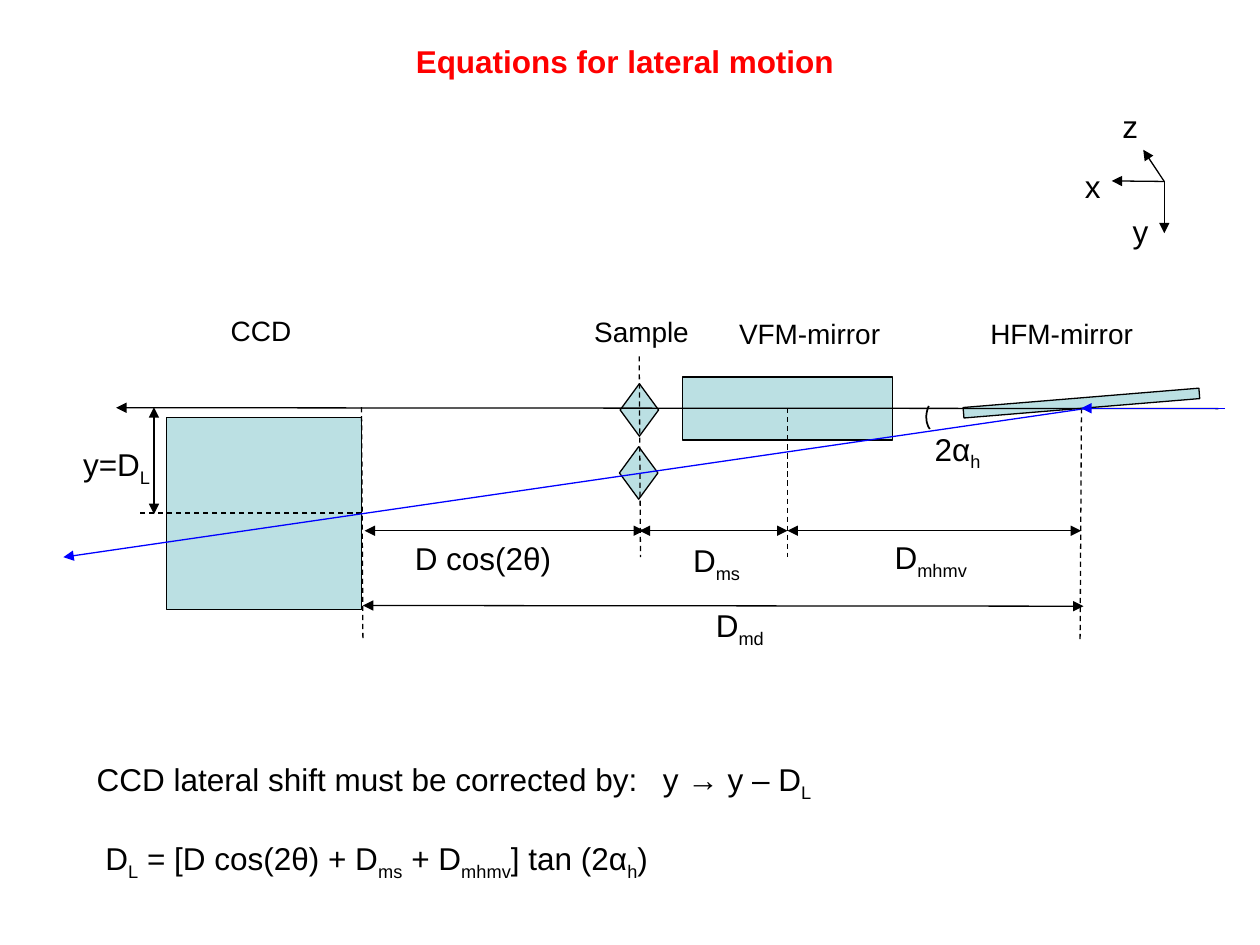
from dataclasses import dataclass

import lxml.etree
import pptx
import pptx.dml.color
import pptx.enum.dml
import pptx.enum.shapes
import pptx.enum.text
import pptx.oxml.ns
import pptx.util

Pt = pptx.util.Pt
qn = pptx.oxml.ns.qn
Preset = pptx.enum.shapes.MSO_SHAPE
Align = pptx.enum.text.PP_ALIGN
Anchor = pptx.enum.text.MSO_ANCHOR


@dataclass(frozen=True)
class Theme:
    font: str = "Arial"
    ink: str = "000000"
    title: str = "FF0000"
    beam: str = "0000FF"
    optic: str = "BBE0E3"
    body_size: float = 18
    label_size: float = 16
    line: float = 0.75
    arc_line: float = 1


@dataclass(frozen=True)
class Box:
    left: float
    top: float
    width: float
    height: float

    def lengths(self) -> list:
        return [Pt(v) for v in (self.left, self.top, self.width, self.height)]


@dataclass(frozen=True)
class Optic:
    preset: int
    box: Box
    rotation: float = 0


@dataclass(frozen=True)
class Ray:
    start: tuple[float, float]
    end: tuple[float, float]
    color: str = Theme.ink
    dashed: bool = False
    head: bool = False
    tail: bool = False


@dataclass(frozen=True)
class Label:
    text: str
    box: Box
    centered: bool = False


THEME = Theme()

# Landmarks along the beam
BEAM_Y = 233.3
CCD_X, SAMPLE_X, VFM_X, HFM_X = 206.6, 365.5, 450, 617.8
SPOT_Y = 293.2
SPAN_Y, TOTAL_Y = 303.3, 346.4
ORIGIN = (665.3, 103.7)

OPTICS = [
    Optic(Preset.RECTANGLE, Box(390.1, 215.4, 120, 36)),
    Optic(Preset.DIAMOND, Box(354.4, 219.3, 22, 30)),
    Optic(Preset.DIAMOND, Box(354, 255.3, 22, 30)),
    Optic(Preset.RECTANGLE, Box(550.3, 227.3, 135.2, 6), 175.3),
    Optic(Preset.RECTANGLE, Box(95.2, 238.6, 111.4, 109.8)),
]


def dashed(start: tuple, end: tuple) -> Ray:
    return Ray(start, end, dashed=True)


def span(start: tuple, end: tuple) -> Ray:
    """A dimension line with an arrowhead at each end."""
    return Ray(start, end, head=True, tail=True)


RAYS = [
    *(Ray(ORIGIN, tip, tail=True)
      for tip in [(665.3, 133.3), (635.3, 103.4), (653.3, 85.6)]),
    dashed((618, BEAM_Y), (617.2, 366.3)),
    dashed((365.3, 203.6), (366, 318.4)),
    dashed((VFM_X, BEAM_Y), (VFM_X, 318.4)),
    dashed((CCD_X, 232.7), (207.4, 366.3)),
    dashed((CCD_X, SPOT_Y), (80.2, SPOT_Y)),
    Ray((621.4, BEAM_Y), (36.2, 318.4), THEME.beam, tail=True),
    Ray((696.2, 233.5), (66.4, 233), tail=True),
    span((88, 232.7), (88, 293.8)),
    span((208.4, SPAN_Y), (368, SPAN_Y)),
    span((SAMPLE_X, SPAN_Y), (VFM_X, SPAN_Y)),
    span((VFM_X, SPAN_Y), (HFM_X, SPAN_Y)),
    span((207.4, 346), (619.2, TOTAL_Y)),
    Ray((699.8, BEAM_Y), (HFM_X, BEAM_Y), THEME.beam, tail=True),
]

# Text between bars is subscript
QUANTITIES = [
    Label("x", Box(620, 95.2, 12.2, 21.6)),
    Label("y", Box(647.2, 121.4, 12.2, 21.6)),
    Label("z", Box(641.4, 61.4, 12.2, 21.6)),
    Label("2α|h", Box(534.1, 245.5, 54, 24.5)),
    Label("D|ms", Box(396, 309, 30.2, 24.5)),
    Label("D cos(2θ)", Box(237, 308, 97.2, 24.5)),
    Label("D|mhmv", Box(511.2, 307.4, 50.4, 24.5)),
    Label("D|md", Box(409, 346.3, 30.2, 24.5)),
    Label("y=D|L", Box(39.6, 254.2, 54, 24.5), centered=True),
]

PARTS = [
    Label("CCD", Box(124.6, 179.3, 49, 19.4)),
    Label("Sample", Box(336, 179.5, 61.2, 19.4)),
    Label("VFM-mirror", Box(419.8, 180.8, 85.7, 19.4)),
    Label("HFM-mirror", Box(563.8, 180.8, 85.7, 19.4)),
]


def rgb(color: str) -> pptx.dml.color.RGBColor:
    return pptx.dml.color.RGBColor.from_string(color)


def add_text(slide, box: Box, *lines: str, size: float = THEME.body_size,
             color: str = THEME.ink, bold: bool = False,
             align: int = Align.LEFT, anchor: int = Anchor.TOP,
             inset: tuple[float, float] = (0, 0), wrap: bool = True):
    """Write one paragraph per line; bars switch subscript on and off."""
    frame = slide.shapes.add_textbox(*box.lengths()).text_frame
    frame.word_wrap = wrap
    frame.vertical_anchor = anchor
    frame.margin_left = frame.margin_right = Pt(inset[0])
    frame.margin_top = frame.margin_bottom = Pt(inset[1])
    for index, line in enumerate(lines):
        paragraph = frame.add_paragraph() if index else frame.paragraphs[0]
        paragraph.alignment = align
        for position, piece in enumerate(line.split("|")):
            if not piece:
                continue
            run = paragraph.add_run()
            run.text = piece
            run.font.name = THEME.font
            run.font.size = Pt(size)
            run.font.bold = bold
            run.font.color.rgb = rgb(color)
            if position % 2:
                run._r.get_or_add_rPr().set("baseline", "-25000")
    return frame


def add_optic(slide, optic: Optic) -> None:
    shape = slide.shapes.add_shape(optic.preset, *optic.box.lengths())
    shape.rotation = optic.rotation
    shape.shadow.inherit = False
    shape.fill.solid()
    shape.fill.fore_color.rgb = rgb(THEME.optic)
    shape.line.color.rgb = rgb(THEME.ink)
    shape.line.width = Pt(THEME.line)


def add_ray(slide, ray: Ray) -> None:
    connector = slide.shapes.add_connector(
        pptx.enum.shapes.MSO_CONNECTOR.STRAIGHT,
        *(Pt(v) for v in ray.start + ray.end))
    connector.line.color.rgb = rgb(ray.color)
    connector.line.width = Pt(THEME.line)
    if ray.dashed:
        connector.line.dash_style = pptx.enum.dml.MSO_LINE.DASH
    outline = connector.line._get_or_add_ln()
    for tag, present in (("a:headEnd", ray.head), ("a:tailEnd", ray.tail)):
        if present:
            lxml.etree.SubElement(outline, qn(tag), type="triangle")
    lxml.etree.SubElement(connector._element.spPr, qn("a:effectLst"))


def add_angle_arc(slide) -> None:
    arc = slide.shapes.add_shape(
        Preset.ARC, *Box(529.9, 223.2, 18.7, 25.2).lengths())
    arc.rotation = 204.4
    arc.adjustments[0] = 286 * 0.6  # 0.6 units to the degree
    arc.shadow.inherit = False
    arc.fill.background()
    arc.line.color.rgb = rgb(THEME.ink)
    arc.line.width = Pt(THEME.arc_line)


def add_equations(slide) -> None:
    frame = add_text(
        slide, Box(48.2, 430.6, 617.8, 99.4),
        "CCD lateral shift must be corrected by:\ty → y – D|L",
        "D|L| = [D cos(2θ) + D|ms| + D|mhmv|] tan (2α|h|)",
        inset=(7.2, 3.6))
    correction, shift = frame.paragraphs
    tabs = lxml.etree.SubElement(correction._p.get_or_add_pPr(), qn("a:tabLst"))
    lxml.etree.SubElement(tabs, qn("a:tab"), pos=str(Pt(323.5)), algn="l")
    shift.space_before = Pt(21)
    shift._p.get_or_add_pPr().set("marL", str(Pt(5)))


def main() -> None:
    deck = pptx.Presentation()
    deck.slide_width, deck.slide_height = Pt(720), Pt(540)
    slide = deck.slides.add_slide(deck.slide_layouts[6])

    add_text(slide, Box(230.4, 20.2, 253.4, 28.8),
             "Equations for lateral motion", color=THEME.title, bold=True,
             align=Align.CENTER, inset=(7.2, 3.6), wrap=False)
    for optic in OPTICS:
        add_optic(slide, optic)
    for ray in RAYS:
        add_ray(slide, ray)
    add_angle_arc(slide)
    for quantity in QUANTITIES:
        add_text(slide, quantity.box, quantity.text,
                 align=Align.CENTER if quantity.centered else Align.LEFT)
    for part in PARTS:
        add_text(slide, part.box, part.text, size=THEME.label_size,
                 align=Align.CENTER, anchor=Anchor.MIDDLE)
    add_equations(slide)
    deck.save("out.pptx")


if __name__ == "__main__":
    main()
